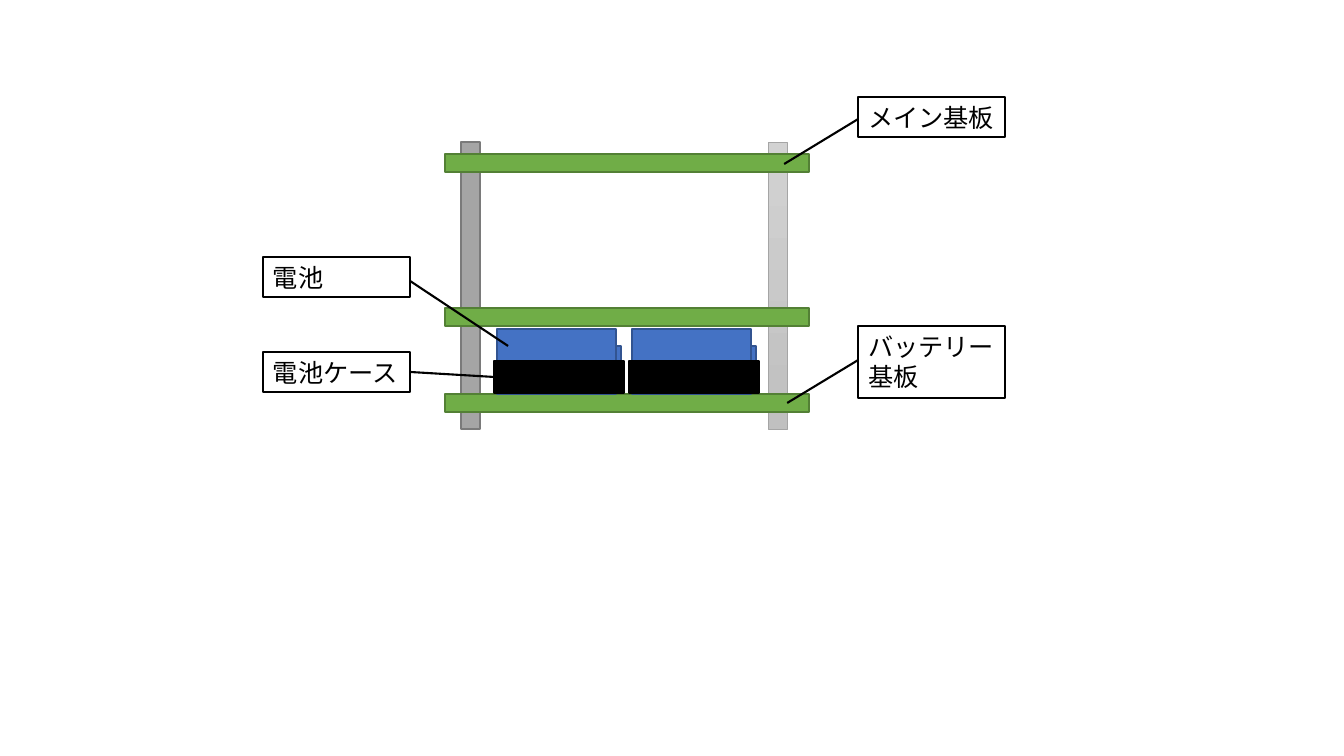
from dataclasses import dataclass
from lxml.etree import SubElement
from pptx import Presentation
from pptx.dml.color import RGBColor as RGB
from pptx.enum.shapes import MSO_CONNECTOR as CONN, MSO_SHAPE as SHAPE
from pptx.enum.text import MSO_ANCHOR as ANCHOR, PP_ALIGN as ALIGN
from pptx.oxml.ns import qn
from pptx.util import Emu, Inches, Pt


@dataclass(frozen=True)
class Theme:
    """Colours, font and sizes; each part style is (fill, line, line width)."""
    pillar: tuple = ("A5A5A5", "7A7A7A", 1)
    back_pillar: tuple = (("D2D2D2", "C0C0C0"), "A5A5A5", 0.5)
    board: tuple = ("70AD47", "538035", 1)
    battery: tuple = ("4472C4", "325491", 1)
    case: tuple = ("000000", "000000", 1)
    label: tuple = ("FFFFFF", "000000", 1)
    ink: str = "000000"
    font: str = "Noto Sans CJK JP"
    text_pt: int = 18
    leader_pt: float = 1.5


T = Theme()
PX = Inches(1) / 100.8

# Side view of the stack: left, top, width, height in pixels
BACK_PILLAR = (768, 142, 19, 287)
PILLAR = (461, 142, 19, 287)
BOARD_TOPS = (154, 308, 394)
BOARD_LEFT, BOARD_W, BOARD_H = 445, 364, 18
CELL_COUNT, CELL_PITCH = 2, 135
BATTERY = (497, 329, 119, 65)
TERMINAL = (616, 346, 5, 31)
CASE = (494, 361, 130, 32)

# Text, box, leader start, leader end
LABELS = [
    ("バッテリー基板", (858, 326, 147, 72), (858, 360), (787, 403)),
    ("メイン基板", (858, 97, 147, 40), (858, 119), (784, 164)),
    ("電池ケース", (263, 352, 147, 40), (410, 372), (494, 377)),
    ("電池", (263, 257, 147, 40), (410, 281), (508, 346)),
]


def px(*values):
    """Turn pixels into EMU."""
    return [Emu(round(v * PX)) for v in values]


def add_part(s, box, style):
    """Draw one rectangle with a plain or two-colour vertical fill."""
    fill, line, width = style
    sp = s.shapes.add_shape(SHAPE.RECTANGLE, *px(*box))
    sp.shadow.inherit = False
    if isinstance(fill, tuple):
        sp.fill.gradient()
        sp.fill.gradient_angle = 270
        for stop, color in zip(sp.fill.gradient_stops, fill):
            stop.color.rgb = RGB.from_string(color)
    else:
        sp.fill.solid()
        sp.fill.fore_color.rgb = RGB.from_string(fill)
    sp.line.color.rgb = RGB.from_string(line)
    sp.line.width = Pt(width)
    return sp


def add_label(s, text, box):
    """Draw a bordered label with left-aligned text."""
    tf = add_part(s, box, T.label).text_frame
    tf.word_wrap = True
    tf.vertical_anchor = ANCHOR.TOP
    p = tf.paragraphs[0]
    p.alignment = ALIGN.LEFT
    r = p.add_run()
    r.text = text
    r.font.size = Pt(T.text_pt)
    r.font.name = T.font
    r.font.color.rgb = RGB.from_string(T.ink)
    SubElement(r.font._element, qn("a:ea"), typeface=T.font)


def add_leader(s, start, end):
    """Draw the line from a label to its part."""
    line = s.shapes.add_connector(CONN.STRAIGHT, *px(*start, *end))
    line.line.color.rgb = RGB.from_string(T.ink)
    line.line.width = Pt(T.leader_pt)
    SubElement(line._element.spPr, qn("a:effectLst"))


prs = Presentation()
prs.slide_width, prs.slide_height = Inches(13.33), Inches(7.5)
s = prs.slides.add_slide(prs.slide_layouts[6])

add_part(s, BACK_PILLAR, T.back_pillar)
add_part(s, PILLAR, T.pillar)
for top in BOARD_TOPS:
    add_part(s, (BOARD_LEFT, top, BOARD_W, BOARD_H), T.board)
for i in range(CELL_COUNT):
    for (left, *rest), style in ((BATTERY, T.battery), (TERMINAL, T.battery), (CASE, T.case)):
        add_part(s, (left + i * CELL_PITCH, *rest), style)
for text, box, start, end in LABELS:
    add_label(s, text, box)
    add_leader(s, start, end)

prs.save("out.pptx")
